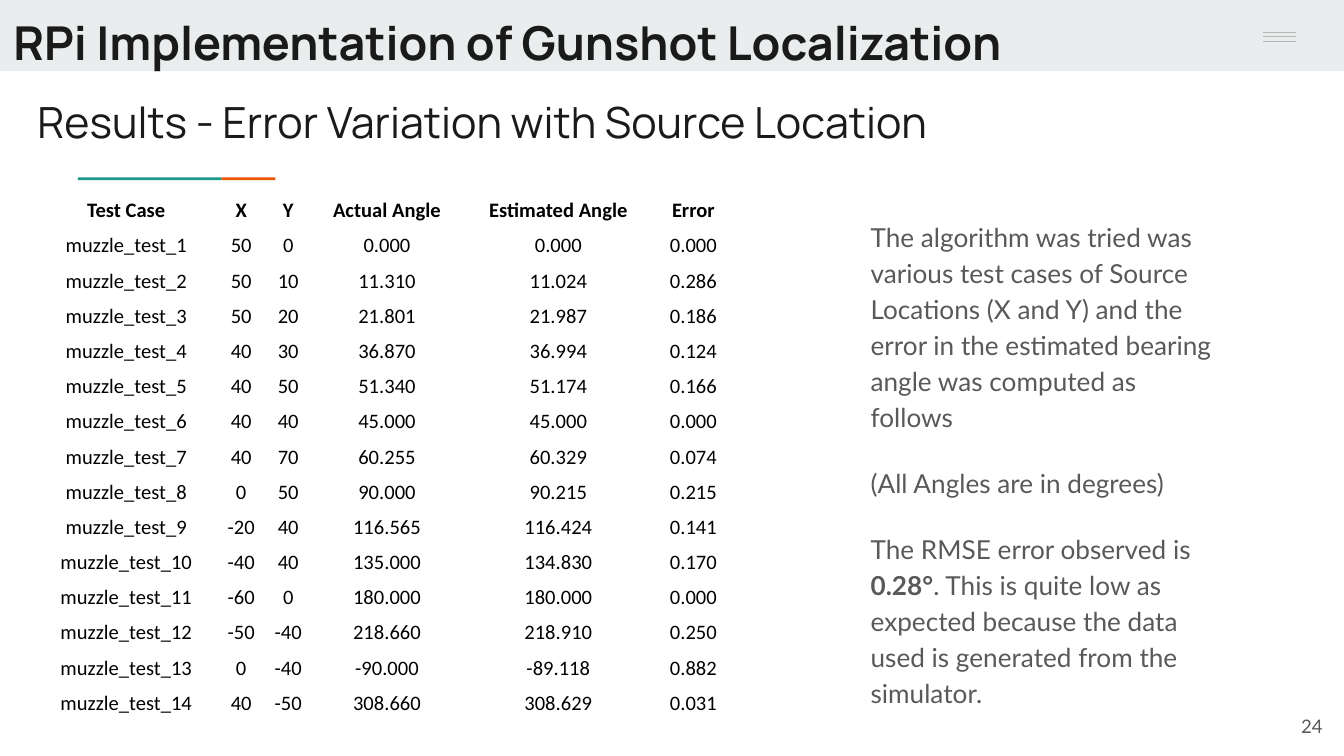
from pptx import Presentation
from pptx.dml.color import RGBColor
from pptx.enum.shapes import MSO_CONNECTOR, MSO_SHAPE
from pptx.enum.text import MSO_ANCHOR, MSO_AUTO_SIZE, PP_ALIGN
from pptx.oxml.ns import qn
from pptx.util import Inches, Pt
from lxml import etree

RECT, LINE = MSO_SHAPE.RECTANGLE, MSO_CONNECTOR.STRAIGHT
TOP, MIDDLE, BOTTOM = MSO_ANCHOR.TOP, MSO_ANCHOR.MIDDLE, MSO_ANCHOR.BOTTOM
LEFT, CENTER, RIGHT = PP_ALIGN.LEFT, PP_ALIGN.CENTER, PP_ALIGN.RIGHT

COLORS = {"band": "E9EDEE", "teal": "1A9988", "orange": "EB5600", "menu": "B7B7B7",
          "title": "1A1A1A", "body": "595959", "table": "000000"}

# Content
TITLE = "RPi Implementation of Gunshot Localization"
SUBTITLE = "Results - Error Variation with Source Location"
PAGE = "24"
NOTES = [
    [("The algorithm was tried was various test cases of Source Locations (X and Y) "
      "and the error in the estimated bearing angle was computed as follows", False)],
    [("(All Angles are in degrees)", False)],
    [("The RMSE error observed is ", False), ("0.28°", True),
     (". This is quite low as expected because the data used is generated "
      "from the simulator.", False)],
]
HEADER = ["Test Case", "X", "Y", "Actual Angle", "Estimated Angle", "Error"]
RESULTS = [  # x, y, actual, estimated, error
    ("50", "0", "0.000", "0.000", "0.000"),
    ("50", "10", "11.310", "11.024", "0.286"),
    ("50", "20", "21.801", "21.987", "0.186"),
    ("40", "30", "36.870", "36.994", "0.124"),
    ("40", "50", "51.340", "51.174", "0.166"),
    ("40", "40", "45.000", "45.000", "0.000"),
    ("40", "70", "60.255", "60.329", "0.074"),
    ("0", "50", "90.000", "90.215", "0.215"),
    ("-20", "40", "116.565", "116.424", "0.141"),
    ("-40", "40", "135.000", "134.830", "0.170"),
    ("-60", "0", "180.000", "180.000", "0.000"),
    ("-50", "-40", "218.660", "218.910", "0.250"),
    ("0", "-40", "-90.000", "-89.118", "0.882"),
    ("40", "-50", "308.660", "308.629", "0.031"),
]
COL_WIDTHS = [1.36, 0.35, 0.35, 1.12, 1.43, 0.58]
TABLE_HEIGHT = 3.93

# 16:9 slide
prs = Presentation()
prs.slide_width, prs.slide_height = Inches(10), Inches(10 * 9 / 16)
s = prs.slides.add_slide(prs.slide_layouts[5])


def rgb(name):
    return RGBColor.from_string(COLORS[name])


def add_rect(x, y, w, h, color):
    sp = s.shapes.add_shape(RECT, Inches(x), Inches(y), Inches(w), Inches(h))
    sp.shadow.inherit = False
    sp.fill.solid()
    sp.fill.fore_color.rgb = rgb(color)
    sp.line.fill.background()


def add_run(p, text, font, size, color, bold=False):
    r = p.add_run()
    r.text = text
    r.font.name, r.font.size, r.font.bold = font, Pt(size), bold
    r.font.color.rgb = rgb(color)


def set_frame(sp, x, y, w, h, anchor, bottom=0.1):
    sp.left, sp.top, sp.width, sp.height = Inches(x), Inches(y), Inches(w), Inches(h)
    tf = sp.text_frame
    tf.word_wrap, tf.auto_size, tf.vertical_anchor = True, MSO_AUTO_SIZE.NONE, anchor
    tf.margin_left = tf.margin_right = tf.margin_top = Inches(0.1)
    tf.margin_bottom = Inches(bottom)
    return tf


def add_box(*frame, **options):
    return set_frame(s.shapes.add_textbox(0, 0, 0, 0), *frame, **options)


# Header band and menu icon
add_rect(0, 0, 10, 0.53, "band")
for y in (0.24, 0.27, 0.31):
    line = s.shapes.add_connector(LINE, Inches(9.4), Inches(y), Inches(9.64), Inches(y))
    line.line.color.rgb = rgb("menu")
    line.line.width = Pt(0.75)
    etree.SubElement(line._element.spPr, qn("a:effectLst"))

# Two-colour accent rule
add_rect(0.58, 1.32, 1.07, 0.02, "teal")
add_rect(1.65, 1.32, 0.4, 0.02, "orange")

# Title, raised above the band, and subtitle
title = s.shapes.title
s.shapes._spTree.append(title._element)
p = set_frame(title, 0, 0, 10, 0.59, TOP).paragraphs[0]
p.alignment = LEFT
add_run(p, TITLE, "Manrope", 25, "title", True)
p = add_box(0.18, 0.61, 8.41, 0.59, TOP).paragraphs[0]
add_run(p, SUBTITLE, "Manrope", 23, "title")

# Explanation
tf = add_box(6.38, 1.27, 2.76, 4.62, MIDDLE, bottom=0.37)
for i, runs in enumerate(NOTES):
    p = tf.add_paragraph() if i else tf.paragraphs[0]
    p.line_spacing = 1.15
    p.space_before = Pt(16 if i else 0)
    for text, bold in runs:
        add_run(p, text, "Lato", 14, "body", bold)

# Results table
rows = [HEADER] + [(f"muzzle_test_{n}", *r) for n, r in enumerate(RESULTS, 1)]
table = s.shapes.add_table(len(rows), len(HEADER), Inches(0.26), Inches(1.4),
                           Inches(sum(COL_WIDTHS)), Inches(TABLE_HEIGHT)).table
table.first_row = table.horz_banding = False
for col, width in zip(table.columns, COL_WIDTHS):
    col.width = Inches(width)
for i, values in enumerate(rows):
    table.rows[i].height = Inches(TABLE_HEIGHT / len(rows))
    for j, value in enumerate(values):
        cell = table.cell(i, j)
        cell.fill.background()
        cell.vertical_anchor = BOTTOM
        cell.margin_left = cell.margin_right = cell.margin_top = Inches(0.01)
        cell.margin_bottom = 0
        p = cell.text_frame.paragraphs[0]
        p.alignment = CENTER
        add_run(p, value, "Calibri", 11, "table", i == 0)

# Page number
p = add_box(9.34, 5.19, 0.6, 0.43, MIDDLE).paragraphs[0]
p.alignment = RIGHT
add_run(p, PAGE, "Lato", 10, "body")

prs.save("out.pptx")
